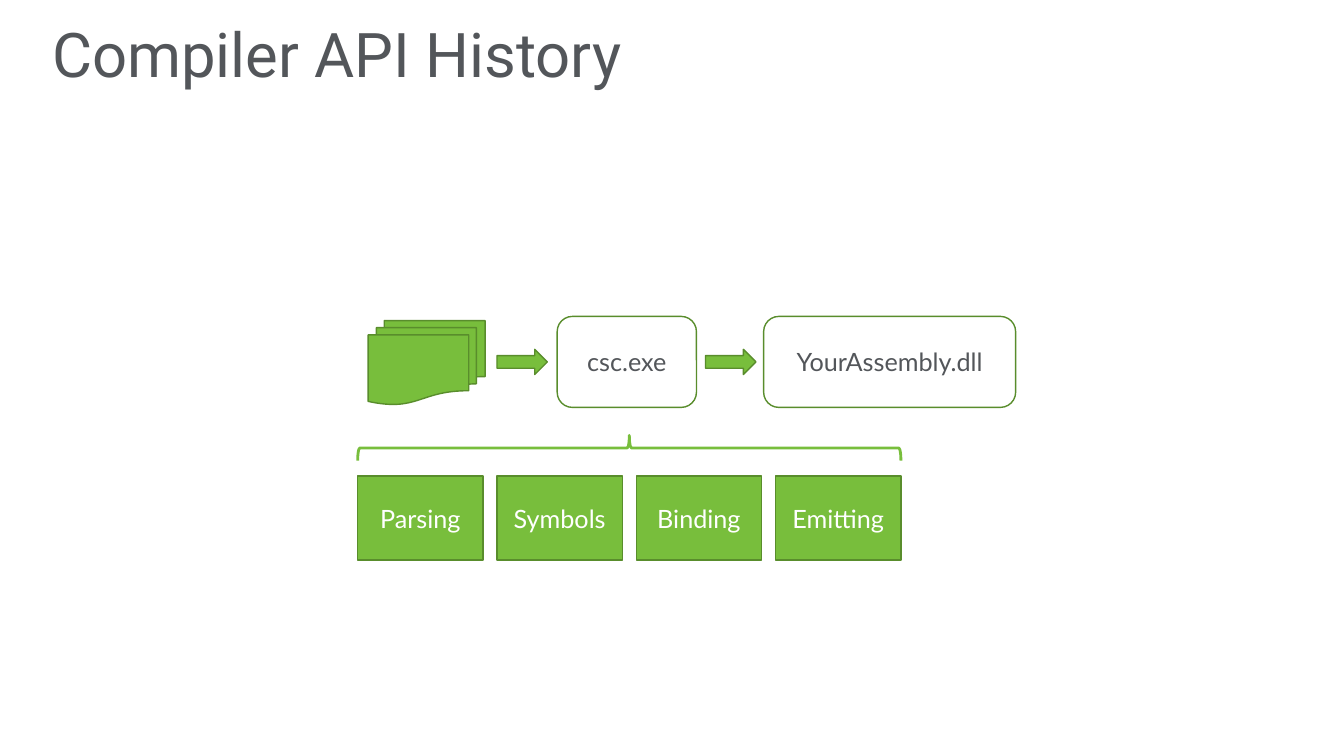
from pptx import Presentation
from pptx.dml.color import RGBColor
from pptx.enum import shapes, text
from pptx.util import Pt

GREEN, DARK_GREEN, GRAY, WHITE = "78BE3C", "598D2C", "53565A", "FFFFFF"
KIND = shapes.MSO_SHAPE

presentation = Presentation()
presentation.slide_width, presentation.slide_height = Pt(960), Pt(540)
slide = presentation.slides.add_slide(presentation.slide_layouts[5])


def write(shape, wording, *, size=18, font="Lato", color=GRAY,
          align=text.PP_ALIGN.CENTER, spacing=1.0):
    frame = shape.text_frame
    frame.text = wording
    frame.word_wrap = True
    frame.vertical_anchor = text.MSO_ANCHOR.MIDDLE
    paragraph = frame.paragraphs[0]
    paragraph.alignment = align
    paragraph.line_spacing = spacing
    paragraph.font.size = Pt(size)
    paragraph.font.name = font
    paragraph.font.color.rgb = RGBColor.from_string(color)


def add(kind, left, top, width, height, fill=GREEN, line=DARK_GREEN, weight=1):
    """Add a preset shape, measured in points; fill None leaves it hollow."""
    shape = slide.shapes.add_shape(kind, Pt(left), Pt(top), Pt(width), Pt(height))
    shape.shadow.inherit = False
    if fill:
        shape.fill.solid()
        shape.fill.fore_color.rgb = RGBColor.from_string(fill)
    else:
        shape.fill.background()
    shape.line.color.rgb = RGBColor.from_string(line)
    shape.line.width = Pt(weight)
    return shape


title = slide.shapes.title
title.left, title.top, title.width, title.height = Pt(30), Pt(20), Pt(899), Pt(42.5)
write(title, "Compiler API History", size=44, font="Roboto",
      align=text.PP_ALIGN.LEFT, spacing=0.9)

# Source files flow through the compiler into the assembly
for arrow_left, box_left, box_width, wording in (
    (355, 398, 99.5, "csc.exe"),
    (504, 545.5, 180, "YourAssembly.dll"),
):
    add(KIND.RIGHT_ARROW, arrow_left, 249.5, 36, 18)
    box = add(KIND.ROUNDED_RECTANGLE, box_left, 226, box_width, 65, fill=WHITE)
    write(box, wording)
add(KIND.FLOWCHART_MULTIDOCUMENT, 263, 229, 83.5, 60)

# Compiler stages under one brace
for index, stage in enumerate(("Parsing", "Symbols", "Binding", "Emitting")):
    box = add(KIND.RECTANGLE, 255.5 + index * 99.5, 340, 89.5, 60)
    write(box, stage, color=WHITE)

brace = add(KIND.LEFT_BRACE, 440.5, 126, 18, 388, fill=None, line=GREEN, weight=2)
brace.rotation = 90

presentation.save("out.pptx")
